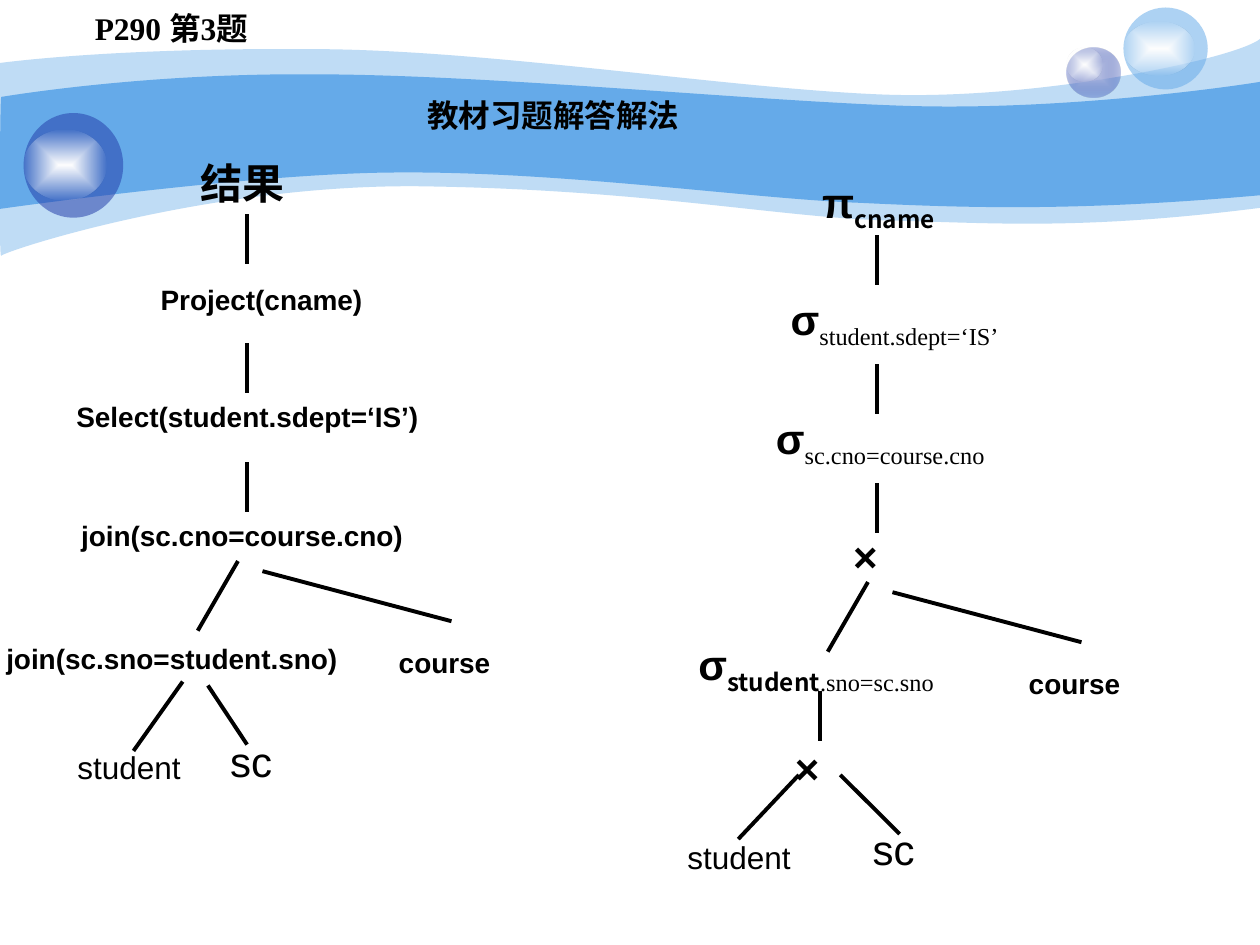
from lxml.etree import SubElement
from pptx import Presentation
from pptx.dml.color import RGBColor
from pptx.enum.shapes import MSO_CONNECTOR as Connector, MSO_SHAPE as Shape
from pptx.enum.text import MSO_ANCHOR as Anchor, MSO_AUTO_SIZE as AutoSize, PP_ALIGN as Align
from pptx.oxml.ns import qn
from pptx.util import Pt

COLORS = {"text": "000000", "wave": "65AAE9", "navy": "233DA9", "pale": "C7CEE9", "white": "FFFFFF"}
CJK = "Noto Sans CJK SC"
SERIF = "Times New Roman"
SHINE = [("white", 100), ("white", 0)]

deck = Presentation()
deck.slide_width, deck.slide_height = Pt(720), Pt(540)
page = deck.slides.add_slide(deck.slide_layouts[5])


def paint(shape, stops):
    shape.shadow.inherit = False
    shape.line.fill.background()
    shape.fill.background()
    properties = shape.element.spPr
    old_fill = properties.find(qn("a:noFill"))
    fill = SubElement(properties, qn("a:solidFill" if len(stops) == 1 else "a:gradFill"))
    parents = [fill]
    if len(stops) > 1:
        stop_list = SubElement(fill, qn("a:gsLst"))
        parents = [SubElement(stop_list, qn("a:gs"), pos=position) for position in ("0", "100000")]
        center = SubElement(fill, qn("a:path"), path="rect")
        SubElement(center, qn("a:fillToRect"), l="50000", t="50000", r="50000", b="50000")
    for parent, (name, opacity) in zip(parents, stops):
        color = SubElement(parent, qn("a:srgbClr"), val=COLORS[name])
        if opacity < 100:
            SubElement(color, qn("a:alpha"), val=str(opacity * 1000))
    properties.replace(old_fill, fill)


def write(box, place, spans, before=True, align=Align.LEFT, anchor=Anchor.TOP, spacing=None):
    box.left, box.top, box.width, box.height = map(Pt, place)
    frame = box.text_frame
    margins = {"margin_left": Pt(7.2), "margin_right": Pt(7.2), "margin_top": Pt(3.6), "margin_bottom": Pt(3.6)}
    layout = {"word_wrap": True, "auto_size": AutoSize.SHAPE_TO_FIT_TEXT, "vertical_anchor": anchor}
    for name, value in {**margins, **layout}.items():
        setattr(frame, name, value)
    para = frame.paragraphs[0]
    para.alignment = align
    para.space_before = Pt(round(spans[0][1] * 0.625, 1) if before else 0)
    if spacing:
        para.line_spacing = spacing
    for text, size, font, bold, lowered in spans:
        span = para.add_run()
        span.text = text
        for name, value in {"size": Pt(size), "name": font, "bold": bold}.items():
            setattr(span.font, name, value)
        span.font.color.rgb = RGBColor.from_string(COLORS["text"])
        properties = span.font._element
        SubElement(properties, qn("a:ea"), typeface=CJK)
        if lowered:
            properties.set("baseline", "-25000")


title = page.shapes.title
write(title, (236.9, 51.1, 250.6, 28.8), [("教材习题解答解法", 18, SERIF, True, False)], before=False)

source_note = page.shapes.add_textbox(0, 0, 0, 0)
write(source_note, (-76.3, 1.4, 348.5, 28.8), [("P290 第3题", 18, SERIF, True, False)], before=False, align=Align.CENTER)

shared_branches = [(141.2, top, 141.2, top + 28.5) for top in (122.5, 196.2, 264.2)]
shared_branches += [(136, 320.6, 113, 360.4), (150, 326.4, 258, 355)]
branches = [
    (104.4, 389.5, 76.3, 429.1), (118.8, 391.7, 141.2, 425.5),
    (456.5, 442.8, 421.9, 479.5), (480.2, 442.8, 514.1, 476.6),
    (468.7, 394.6, 468.7, 423.2),
]
for right, down in ((0, 0), (360, 12)):
    branches += [(a + right, b + down, c + right, d + down) for a, b, c, d in shared_branches]
for ends in branches:
    branch = page.shapes.add_connector(Connector.STRAIGHT, *map(Pt, ends))
    branch.line.width = Pt(2.25)
    branch.line.color.rgb = RGBColor.from_string(COLORS["text"])
    SubElement(branch.element.spPr, qn("a:effectLst"))

labels = [
    ("结果", 24, True, 107.3, 86.4, 79.2),
    ("Project(cname)", 16, True, 84.7, 157.7, 162),
    ("Select(student.sdept=‘IS’)", 16, True, 36.6, 224.6, 266.4),
    ("join(sc.cno=course.cno)", 16, True, 39.3, 293, 266.4),
    ("join(sc.sno=student.sno)", 16, True, -3.5, 362.9, 221),
    ("course", 16, True, 220.8, 365.4, 77),
    ("student", 18, False, 37.2, 424.1, 87.1),
    ("sc", 24, False, 124.4, 416.9, 62.6),
    ("×", 24, True, 480.4, 299.8, 45.4),
    ("×", 24, True, 447.1, 420.5, 45.4),
    ("course", 16, True, 580.8, 377.3, 77),
    ("student", 18, False, 385.7, 475.2, 87.1),
    ("sc", 24, False, 491.6, 467.3, 62.6),
]
for text, size, bold, left, top, width in labels:
    box = page.shapes.add_textbox(0, 0, 0, 0)
    write(box, (left, top, width, size * 1.2 + 7.2), [(text, size, "Arial", bold, False)])

centered = {"align": Align.CENTER, "anchor": Anchor.MIDDLE}
operators = [
    ("π", [("cname", CJK, True)], (450.9, 102.7, 102.2, 30.2), centered),
    ("σ", [("student.sdept=‘IS’", SERIF, False)], (444.7, 169.6, 162, 30.2), {}),
    ("σ", [("sc.cno=course.cno", SERIF, False)], (436.3, 237.6, 162, 30.2), {}),
    ("σ", [("student", CJK, True), (".sno=sc.sno", SERIF, False)], (392, 367.2, 188.6, 30.2), {}),
]
for symbol, subscripts, place, options in operators:
    spans = [(symbol, 24, "Arial", True, False)]
    spans += [(text, 24, font, bold, True) for text, font, bold in subscripts]
    write(page.shapes.add_textbox(0, 0, 0, 0), place, spans, spacing=0.7, **options)

outer_wave = [
    [(0, 36)],
    [(17.3, 33.8), (77, 27.4), (177.8, 28.1)],
    [(277.9, 28.1), (414, 50.4), (503.3, 54)],
    [(591.8, 57.6), (705.6, 33.8), (720, 22.3)],
    [(720, 118.8)],
    [(617.8, 131.8), (566.6, 127.4), (507.6, 126)],
    [(447.8, 124.6), (370.8, 108.7), (247, 106.6)],
    [(123.8, 103.7), (2.9, 143.3), (0.7, 146.2)],
    [(-0.7, 149.8), (0, 54), (0, 36)],
]
inner_wave = [
    [(0.7, 55.4)],
    [(1.4, 55.4), (79.2, 41.8), (178.6, 42.5)],
    [(277.9, 42.5), (428.4, 57.6), (517, 60.5)],
    [(605.5, 63.4), (702.7, 49.7), (720, 46.8)],
    [(720, 111.6)],
    [(614.2, 121), (550.8, 118.8), (491, 115.9)],
    [(431.3, 113.8), (321.8, 97.9), (228.2, 98.6)],
    [(146.2, 98.6), (-1.4, 119.5), (-0.7, 119.5)],
    [(0, 119.5), (0, 55.4), (0.7, 55.4)],
]
decorations = []
for segments, opacity in ((outer_wave, 41), (inner_wave, 100)):
    points = [(Pt(x), Pt(y)) for segment in segments for x, y in segment]
    builder = page.shapes.build_freeform(*points[0])
    builder.add_line_segments(points[1:], close=True)
    wave = builder.convert_to_shape()
    lines = iter(list(wave.element.spPr.iter(qn("a:lnTo"))))
    for segment in segments[1:]:
        steps = [next(lines) for _ in segment]
        if len(steps) == 3:
            curve = SubElement(steps[0].getparent(), qn("a:cubicBezTo"))
            steps[0].addprevious(curve)
            for step in steps:
                curve.append(step[0])
                step.getparent().remove(step)
    paint(wave, [("wave", opacity)])
    decorations.append(wave)

bubbles = [
    [((609.8, 27.1, 30.2, 28.8), [("pale", 100), ("navy", 31)]), ((609.8, 27.1, 20.2, 19.4), SHINE)],
    [((642, 4.3, 48.2, 46.8), [("wave", 53)]), ((642, 12.2, 40.3, 31), SHINE)],
    [((13.5, 64.6, 56.9, 59.8), [("navy", 53)]), ((13.5, 74.2, 47.5, 40.3), SHINE)],
]
for layers in bubbles:
    bubble = page.shapes.add_group_shape()
    for place, stops in layers:
        paint(bubble.shapes.add_shape(Shape.OVAL, *map(Pt, place)), stops)
    decorations.append(bubble)

master_tree = deck.slide_master.shapes.element
for index, decoration in enumerate(decorations, 2):
    master_tree.insert(index, decoration.element)

deck.save("out.pptx")
